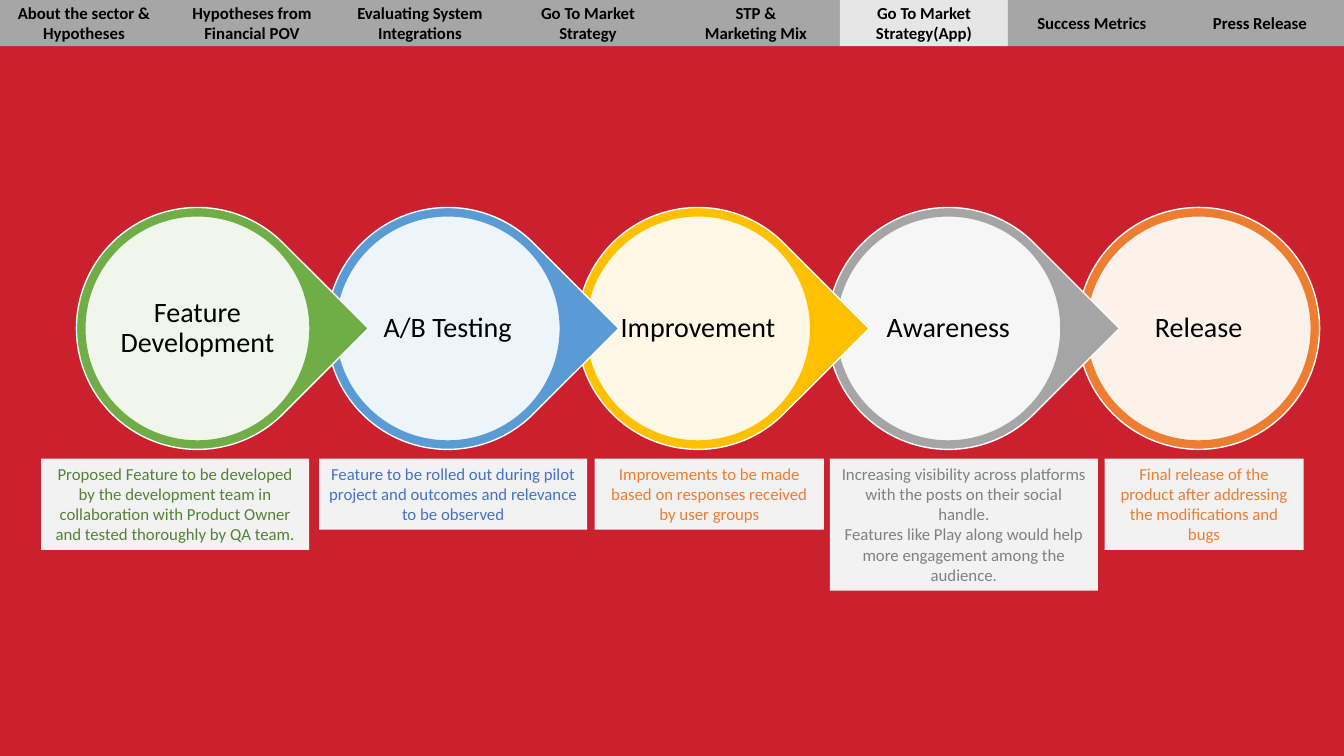
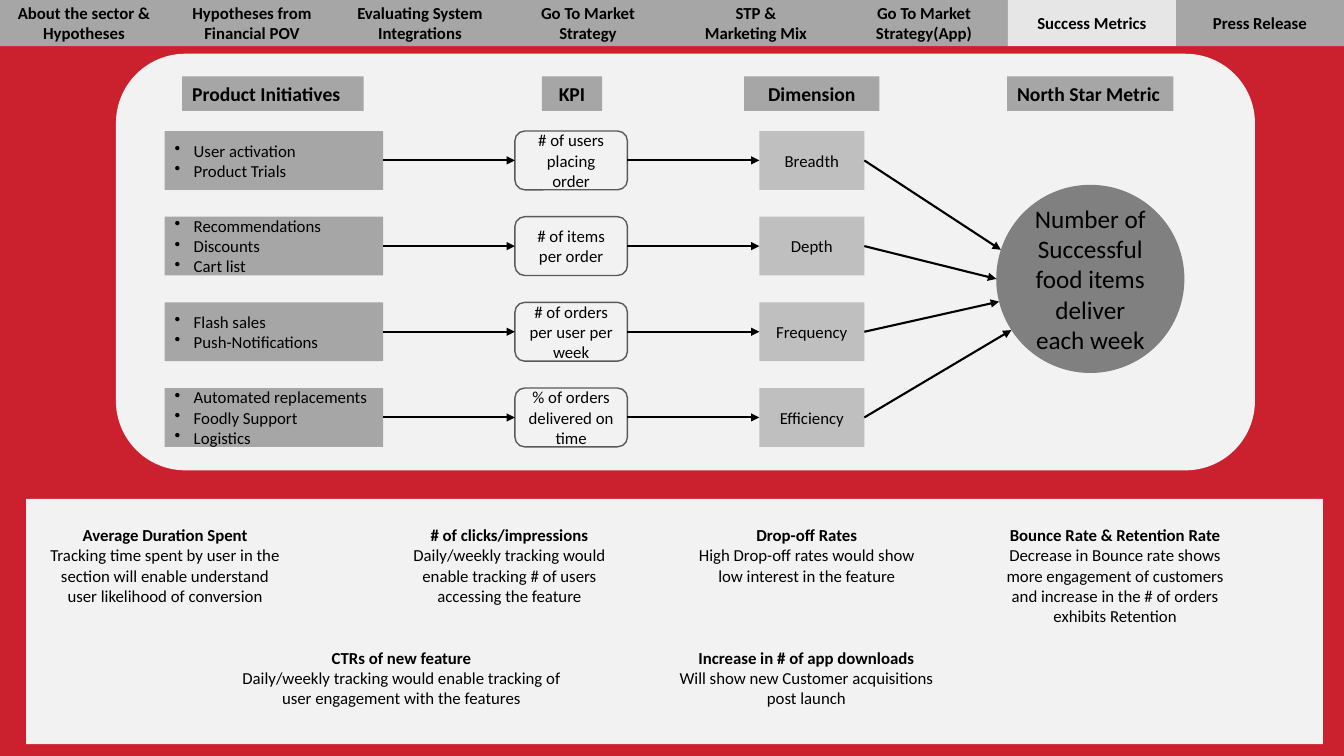
import math
from dataclasses import dataclass

import lxml.etree
import pptx
import pptx.dml.color
import pptx.enum.shapes
import pptx.enum.text
import pptx.oxml.ns
import pptx.util

SHAPE = pptx.enum.shapes.MSO_SHAPE
ALIGN = pptx.enum.text.PP_ALIGN
ANCHOR = pptx.enum.text.MSO_ANCHOR
qn = pptx.oxml.ns.qn


@dataclass(frozen=True)
class Theme:
    font: str = "Calibri"
    background: str = "CB202D"
    panel: str = "F2F2F2"
    tab: str = "A6A6A6"
    active_tab: str = "E7E6E6"
    dimension: str = "BFBFBF"
    star: str = "808080"
    outline: str = "595959"
    ink: str = "000000"
    white: str = "FFFFFF"
    body: int = 12
    heading: int = 14
    star_text: int = 18
    stage_text: int = 20


THEME = Theme()

# The slide is a grid of 160 columns by 90 rows with square cells
COLUMNS, ROWS = 160, 90
CELL = pptx.util.Inches(13.333) / COLUMNS
LINE_ROWS, PADDING_ROWS = 2.42, 1.2

TABS = ["About the sector & Hypotheses", "Hypotheses from Financial POV",
        "Evaluating System Integrations", "Go To Market Strategy",
        "STP &\nMarketing Mix", "Go To Market Strategy(App)",
        "Success Metrics", "Press Release"]

# Stage name, ring colour, note colour, note left, note width, note lines, note
STAGES = [
    ("Feature Development", "70AD47", "548235", 4.9, 31.9, 4,
     "Proposed Feature to be developed by the development team in "
     "collaboration with Product Owner and tested thoroughly by QA team."),
    ("A/B Testing", "5B9BD5", "4472C4", 38, 31.9, 3,
     "Feature to be rolled out during pilot project and outcomes and "
     "relevance to be observed"),
    ("Improvement", "FFC000", "ED7D31", 70.8, 27.3, 3,
     "Improvements to be made based on responses received by user groups"),
    ("Awareness", "A5A5A5", "808080", 98.8, 31.9, 6,
     "Increasing visibility across platforms with the posts on their social "
     "handle.\nFeatures like Play along would help more engagement among the "
     "audience."),
    ("Release", "ED7D31", "ED7D31", 131.5, 23.7, 4,
     "Final release of the product after addressing the modifications and "
     "bugs"),
]

# Heading, left, width, alignment
HEADINGS = [("Product Initiatives", 21.7, 21.6, ALIGN.LEFT),
            ("KPI", 64.5, 7.2, ALIGN.CENTER),
            ("Dimension", 88.6, 16.1, ALIGN.CENTER),
            ("North Star Metric", 119.9, 19.8, ALIGN.LEFT)]

# Initiatives, KPI, dimension, angle at which the arrow meets the star circle
METRIC_ROWS = [
    ("User activation\nProduct Trials", "# of users placing order",
     "Breadth", -18),
    ("Recommendations\nDiscounts\nCart list", "# of items per order",
     "Depth", 0),
    ("Flash sales\nPush-Notifications", "# of orders per user per week",
     "Frequency", 14),
    ("Automated replacements\nFoodly Support\nLogistics",
     "% of orders delivered on time", "Efficiency", 33),
]

# Left, top, width, lines, title, description
TRACKERS = [
    (4.6, 61.9, 30.1, 4, "Average Duration Spent",
     "Tracking time spent by user in the section will enable understand user "
     "likelihood of conversion"),
    (45.6, 61.9, 30.1, 4, "# of clicks/impressions",
     "Daily/weekly tracking would enable tracking # of users accessing the "
     "feature"),
    (81, 61.9, 30.1, 3, "Drop-off Rates",
     "High Drop-off rates would show low interest in the feature"),
    (117.7, 61.9, 30.1, 5, "Bounce Rate & Retention Rate",
     "Decrease in Bounce rate shows more engagement of customers and increase "
     "in the # of orders exhibits Retention"),
    (27.6, 76.5, 40.4, 3, "CTRs of new feature",
     "Daily/weekly tracking would enable tracking of user engagement with the "
     "features"),
    (78.7, 76.5, 34.6, 3, "Increase in # of app downloads",
     "Will show new Customer acquisitions post launch"),
]


def cells(count):
    return pptx.util.Emu(round(count * CELL))


def rgb(value):
    return pptx.dml.color.RGBColor.from_string(value)


def add_element(parent, tag, **attributes):
    return lxml.etree.SubElement(parent, qn(tag), attributes)


# Element builders

def add_box(slide, kind, left, top, width, height, fill, line=None):
    shape = slide.shapes.add_shape(
        kind, *(cells(length) for length in (left, top, width, height)))
    shape.shadow.inherit = False
    shape.fill.solid()
    shape.fill.fore_color.rgb = rgb(fill)
    if line:
        shape.line.color.rgb = rgb(line)
        shape.line.width = pptx.util.Pt(1)
    else:
        shape.line.fill.background()
    return shape


def write(shape, text, size=THEME.body, color=THEME.ink, bold=False,
          align=ALIGN.CENTER, anchor=ANCHOR.MIDDLE):
    frame = shape.text_frame
    frame.word_wrap = True
    frame.vertical_anchor = anchor
    frame.text = text
    for paragraph in frame.paragraphs:
        paragraph.alignment = align
        for run in paragraph.runs:
            run.font.name = THEME.font
            run.font.size = pptx.util.Pt(size)
            run.font.bold = bold
            run.font.color.rgb = rgb(color)
    return frame


def add_note(slide, left, top, width, lines, text, color=THEME.ink):
    """A text panel whose height follows from its number of lines."""
    shape = add_box(slide, SHAPE.RECTANGLE, left, top, width,
                    lines * LINE_ROWS + PADDING_ROWS, THEME.panel)
    return write(shape, text, color=color, anchor=ANCHOR.TOP)


def add_bullets(frame):
    indent = pptx.util.Inches(0.19)
    for paragraph in frame.paragraphs:
        properties = paragraph._p.get_or_add_pPr()
        properties.set("marL", str(int(indent)))
        properties.set("indent", str(-int(indent)))
        add_element(properties, "a:buChar", char="•")


def set_opacity(shape, percent):
    color = shape.element.spPr.find(qn("a:solidFill")).find(qn("a:srgbClr"))
    add_element(color, "a:alpha", val=str(percent * 1000))


def add_arrow(slide, source, target=None, point=(0, 0)):
    """Arrow from a box's right side to a box's left side, or to a point."""
    end_x, end_y = (cells(length) for length in point)
    arrow = slide.shapes.add_connector(
        pptx.enum.shapes.MSO_CONNECTOR.STRAIGHT, 0, 0, end_x, end_y)
    arrow.begin_connect(source, 3)
    if target is not None:
        arrow.end_connect(target, 1)
    arrow.line.color.rgb = rgb(THEME.ink)
    arrow.line.width = pptx.util.Pt(1.5)
    properties = arrow.element.spPr
    add_element(properties.find(qn("a:ln")), "a:tailEnd", type="triangle")
    add_element(properties, "a:effectLst")


def add_tabs(slide, active):
    width = COLUMNS / len(TABS)
    for index, label in enumerate(TABS):
        fill = THEME.active_tab if label == active else THEME.tab
        tab = add_box(slide, SHAPE.RECTANGLE, index * width, 0, width, 5.5,
                      fill)
        write(tab, label, bold=True)


def add_stage(slide, left, name, color, last):
    top, diameter, ring = 24.7, 28.8, 1
    kind = SHAPE.OVAL if last else SHAPE.TEAR
    outer = add_box(slide, kind, left, top, diameter, diameter, color,
                    THEME.white)
    outer.rotation = 0 if last else 45
    inner = add_box(slide, SHAPE.OVAL, left + ring, top + ring,
                    diameter - 2 * ring, diameter - 2 * ring, THEME.white,
                    color)
    set_opacity(inner, 90)
    frame = write(inner, name, THEME.stage_text)
    frame.margin_left = frame.margin_right = 0
    frame.paragraphs[0].line_spacing = 0.9


# Slides

def build_release_plan(slide):
    first_left, pitch = 9.1, 29.8
    # Later stages lie behind earlier ones
    for index, stage in reversed(list(enumerate(STAGES))):
        add_stage(slide, first_left + index * pitch, stage[0], stage[1],
                  index == len(STAGES) - 1)
    for _, _, color, left, width, lines, text in STAGES:
        add_note(slide, left, 54.6, width, lines, text, color)
    add_tabs(slide, "Go To Market Strategy(App)")


def build_success_metrics(slide):
    # Metric map panel and column headings
    add_box(slide, SHAPE.ROUNDED_RECTANGLE, 13.8, 6.4, 135.6, 49.6,
            THEME.panel)
    for label, left, width, align in HEADINGS:
        heading = add_box(slide, SHAPE.RECTANGLE, left, 9.1, width, 4.1,
                          THEME.tab)
        write(heading, label, THEME.heading, bold=True, align=align)

    # North star circle
    star_left, star_top, diameter = 118.6, 22, 22.4
    radius = diameter / 2
    star = add_box(slide, SHAPE.OVAL, star_left, star_top, diameter, diameter,
                   THEME.star)
    write(star, "Number of Successful food items deliver each week",
          THEME.star_text)

    # Rows from initiative to KPI to dimension to north star
    first_top, pitch, height = 15.6, 10.2, 7
    for index, (items, goal, area, angle) in enumerate(METRIC_ROWS):
        top = first_top + index * pitch
        initiative = add_box(slide, SHAPE.RECTANGLE, 19.6, top, 26, height,
                             THEME.tab)
        add_bullets(write(initiative, items, align=ALIGN.LEFT))
        kpi = add_box(slide, SHAPE.ROUNDED_RECTANGLE, 61.3, top, 13.4, height,
                      THEME.panel, THEME.outline)
        write(kpi, goal)
        dimension = add_box(slide, SHAPE.RECTANGLE, 90.4, top, 12.5, height,
                            THEME.dimension)
        write(dimension, area)
        add_arrow(slide, initiative, kpi)
        add_arrow(slide, kpi, dimension)
        turn = math.radians(angle)
        add_arrow(slide, dimension,
                  point=(star_left + radius * (1 - math.cos(turn)),
                         star_top + radius * (1 + math.sin(turn))))

    # Tracked measures
    add_box(slide, SHAPE.RECTANGLE, 3.1, 59.4, 154.4, 29.2, THEME.panel)
    for left, top, width, lines, title, description in TRACKERS:
        frame = add_note(slide, left, top, width, lines,
                         f"{title}\n{description}")
        frame.paragraphs[0].runs[0].font.bold = True
    add_tabs(slide, "Success Metrics")


def main():
    presentation = pptx.Presentation()
    presentation.slide_width = cells(COLUMNS)
    presentation.slide_height = cells(ROWS)
    background = presentation.slide_master.background.fill
    background.solid()
    background.fore_color.rgb = rgb(THEME.background)
    blank = presentation.slide_layouts[6]
    for build in (build_release_plan, build_success_metrics):
        build(presentation.slides.add_slide(blank))
    presentation.save("out.pptx")


if __name__ == "__main__":
    main()
